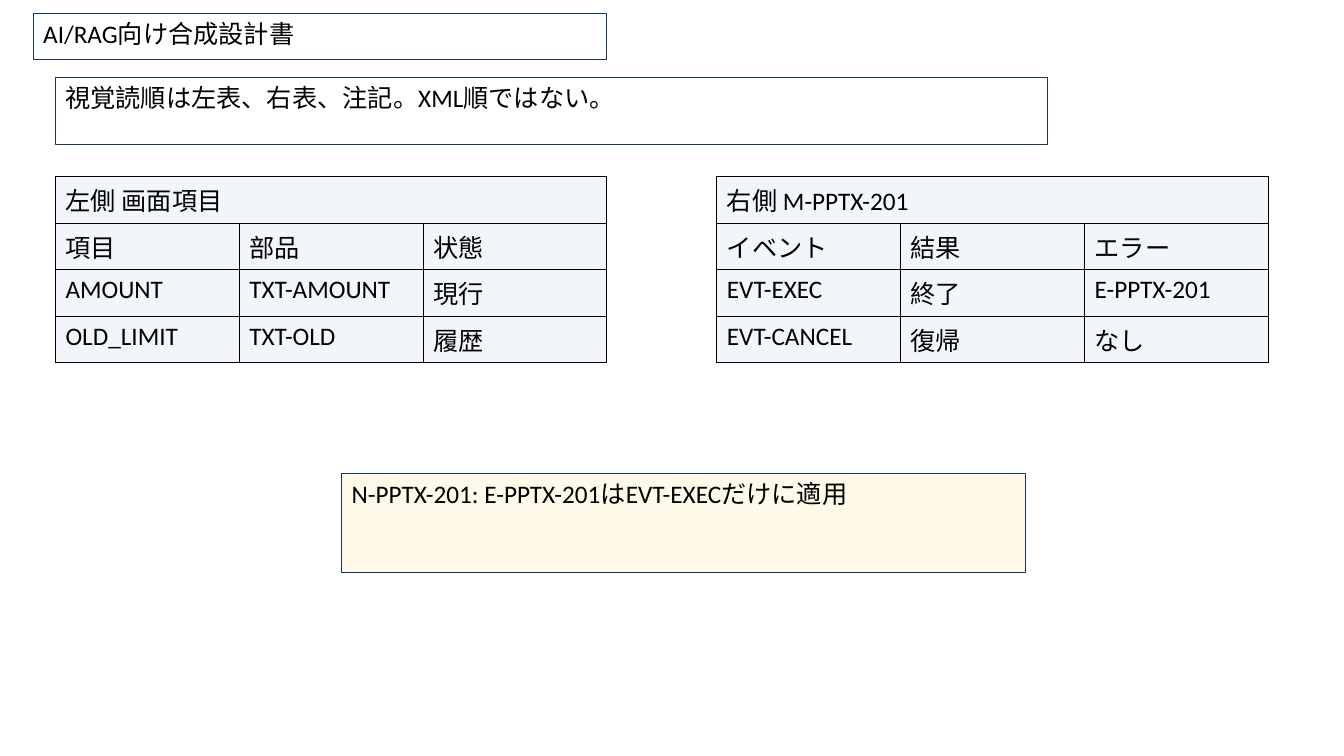
from dataclasses import dataclass
from lxml.etree import SubElement as Sub
from pptx import Presentation
from pptx.dml.color import RGBColor as Rgb
from pptx.enum.shapes import MSO_SHAPE as Shape
from pptx.enum.text import MSO_ANCHOR as Anchor, PP_ALIGN as Align
from pptx.oxml.ns import qn
from pptx.util import Inches, Pt


@dataclass(frozen=True)
class Theme:
    font: str = "Calibri"
    size: int = 18
    rule: float = 0.75
    ink: str = "000000"
    edge: str = "17365D"
    paper: str = "FFFFFF"
    cell: str = "F2F6FA"
    note: str = "FFF2CC"
    alpha: int = 42


theme = Theme()


def write(frame, text):
    par = frame.paragraphs[0]
    par.alignment = Align.LEFT
    run = par.add_run()
    run.text = text
    run.font.name = theme.font
    run.font.size = Pt(theme.size)
    run.font.bold = False
    run.font.color.rgb = Rgb.from_string(theme.ink)


def border(cell):
    props = cell._tc.get_or_add_tcPr()
    for side in ("L", "R", "T", "B"):
        line = Sub(props, qn(f"a:ln{side}"), w=str(Pt(theme.rule)))
        fill = Sub(line, qn("a:solidFill"))
        Sub(fill, qn("a:srgbClr"), val=theme.ink)


deck = Presentation()
deck.slide_width = Inches(13.33)
deck.slide_height = Inches(7.5)
slide = deck.slides.add_slide(deck.slide_layouts[6])

boxes = [
    (0.33, 0.13, 5.69, 0.46, theme.paper, 100, "AI/RAG向け合成設計書"),
    (0.55, 0.77, 9.84, 0.66, theme.paper, 100, "視覚読順は左表、右表、注記。XML順ではない。"),
    (3.39, 4.7, 6.78, 0.98, theme.note, theme.alpha,
     "N-PPTX-201: E-PPTX-201はEVT-EXECだけに適用"),
]
for left, top, width, height, color, alpha, text in boxes:
    box = slide.shapes.add_shape(
        Shape.RECTANGLE, Inches(left), Inches(top), Inches(width), Inches(height))
    box.shadow.inherit = False
    box.fill.solid()
    box.fill.fore_color.rgb = Rgb.from_string(color)
    if alpha < 100:
        tint = box._element.spPr.find(qn("a:solidFill")).find(qn("a:srgbClr"))
        Sub(tint, qn("a:alpha"), val=str(alpha * 1000))
    box.line.color.rgb = Rgb.from_string(theme.edge)
    box.line.width = Pt(theme.rule)
    box.text_frame.word_wrap = True
    box.text_frame.vertical_anchor = Anchor.TOP
    write(box.text_frame, text)

tables = [
    (0.55, "左側 画面項目", [
        ("項目", "部品", "状態"),
        ("AMOUNT", "TXT-AMOUNT", "現行"),
        ("OLD_LIMIT", "TXT-OLD", "履歴"),
    ]),
    (7.11, "右側 M-PPTX-201", [
        ("イベント", "結果", "エラー"),
        ("EVT-EXEC", "終了", "E-PPTX-201"),
        ("EVT-CANCEL", "復帰", "なし"),
    ]),
]
for left, title, rows in tables:
    grid = slide.shapes.add_table(
        len(rows) + 1, 3, Inches(left), Inches(1.75), Inches(5.47), Inches(1.84)).table
    grid.first_row = False
    grid.horz_banding = False
    grid.cell(0, 0).merge(grid.cell(0, 2))
    for cell in grid.iter_cells():
        border(cell)
        cell.fill.solid()
        cell.fill.fore_color.rgb = Rgb.from_string(theme.cell)
    write(grid.cell(0, 0).text_frame, title)
    for r, row in enumerate(rows, 1):
        for c, text in enumerate(row):
            write(grid.cell(r, c).text_frame, text)

deck.save("out.pptx")
